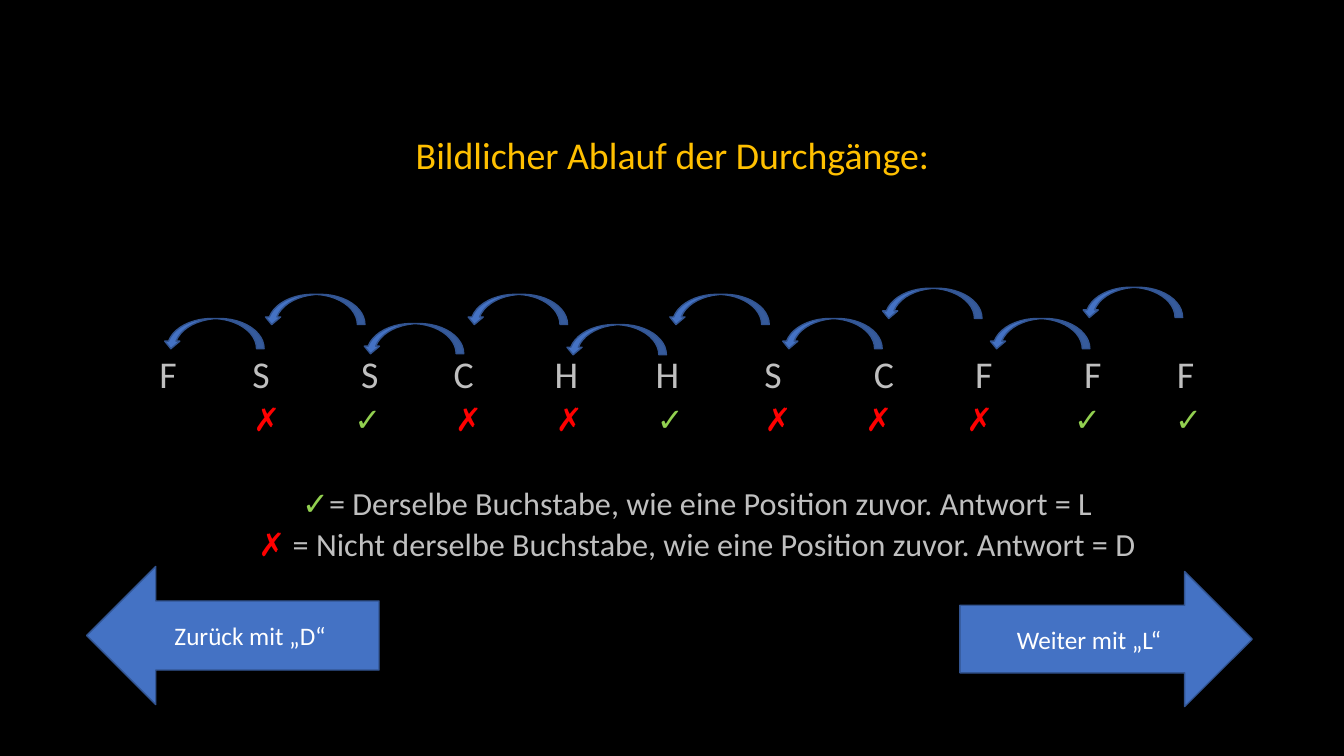
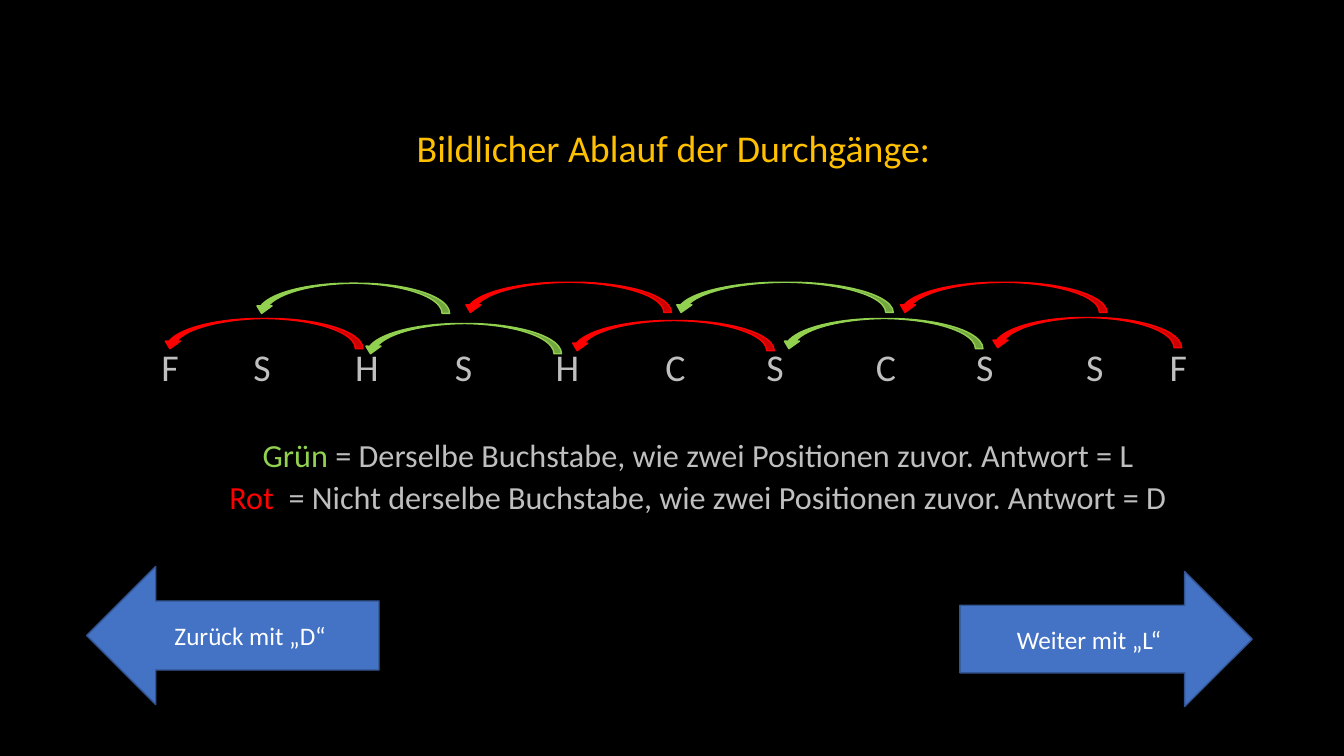
from itertools import groupby

from lxml import etree
from pptx import Presentation
from pptx.dml.color import RGBColor
from pptx.enum import shapes, text
from pptx.oxml import ns
from pptx.util import Inches, Pt

BLACK = RGBColor(0x00, 0x00, 0x00)
WHITE = RGBColor(0xFF, 0xFF, 0xFF)
GREY = RGBColor(0xBF, 0xBF, 0xBF)
GOLD = RGBColor(0xFF, 0xC0, 0x00)
GREEN = RGBColor(0x92, 0xD0, 0x50)
RED = RGBColor(0xFF, 0x00, 0x00)
BLUE = RGBColor(0x44, 0x72, 0xC4)
NAVY = RGBColor(0x32, 0x54, 0x91)
KIND = shapes.MSO_SHAPE
ALIGN = text.PP_ALIGN


class Deck:
    font = "Calibri"
    big, mid, small = 27, 23, 18
    inset = 0.1

    def __init__(self):
        self.prs = Presentation()
        self.prs.slide_width = Inches(13.33)
        self.prs.slide_height = Inches(7.5)
        self.slide = self.frame = self.left = None

    def page(self, title, left, top):
        """Start a black slide with its text body and both buttons."""
        self.slide = self.prs.slides.add_slide(self.prs.slide_layouts[6])
        fill = self.slide.background.fill
        fill.solid()
        fill.fore_color.rgb = BLACK
        box = self.slide.shapes.add_textbox(
            Inches(left), Inches(top), Inches(11.5), Inches(5.45))
        self.frame, self.left = box.text_frame, left
        self.frame.word_wrap = True
        self.line(self.frame.paragraphs[0], [(title, GOLD)], self.big, 0)
        self.button(KIND.LEFT_ARROW, 0.86, 5.62, 1.37, "Zurück mit „D“")
        self.button(KIND.RIGHT_ARROW, 9.52, 5.67, 1.34, "Weiter mit „L“")

    def style(self, run, size, color):
        run.font.name = self.font
        run.font.size = Pt(size)
        run.font.color.rgb = color

    def line(self, para, parts, size, gap, align=ALIGN.CENTER):
        """Fill a paragraph with (wording, colour) parts."""
        para.alignment = align
        para.line_spacing = 0.9
        para.space_before = Pt(gap)
        for words, color in parts:
            run = para.add_run()
            run.text = words
            self.style(run, size, color)

    def row(self, spots, signs, size, gap):
        """Centre one (sign, colour) on each x by a tab stop."""
        parts = [("".join("\t" + sign for sign, _ in group), color)
                 for color, group in groupby(signs, lambda pair: pair[1])]
        para = self.frame.add_paragraph()
        self.line(para, parts, size, gap, ALIGN.LEFT)
        tabs = etree.SubElement(para._p.get_or_add_pPr(), ns.qn("a:tabLst"))
        for x in spots:
            place = Inches(x - self.left - self.inset)
            etree.SubElement(tabs, ns.qn("a:tab"), pos=str(place), algn="ctr")

    def legend(self, parts, gap):
        para = self.frame.add_paragraph()
        self.line(para, parts, self.mid, gap)
        para._p.get_or_add_pPr().set("marL", str(Inches(0.5)))

    def shape(self, kind, left, top, width, height, fill, line):
        item = self.slide.shapes.add_shape(
            kind, Inches(left), Inches(top), Inches(width), Inches(height))
        item.shadow.inherit = False
        item.fill.solid()
        item.fill.fore_color.rgb = fill
        item.line.color.rgb = line
        item.line.width = Pt(1)
        return item

    def button(self, kind, left, top, height, words):
        item = self.shape(kind, left, top, 2.9, height, BLUE, NAVY)
        frame = item.text_frame
        frame.text = words
        frame.vertical_anchor = text.MSO_ANCHOR.MIDDLE
        para = frame.paragraphs[0]
        para.alignment = ALIGN.CENTER
        self.style(para.runs[0], self.small, WHITE)

    def arc(self, left, top, width, fill, line):
        """Curved arrow that points back to the left."""
        item = self.shape(KIND.CURVED_DOWN_ARROW, left, top, width, 0.3,
                          fill, line)
        item._element.spPr.get_or_add_xfrm().set("flipH", "1")


def hits(letters, back):
    """Tell for each letter whether it equals the one `back` places before."""
    return [old == new for old, new in zip(letters, letters[back:])]


def one_back(deck):
    letters = "FSSCHHSCFFF"
    spots = [1.67, 2.59, 3.67, 4.6, 5.62, 6.62, 7.67, 8.77, 9.76, 10.84, 11.76]
    ticks = [2.65, 3.65, 4.65, 5.65, 6.65, 7.72, 8.72, 9.72, 10.79, 11.79]
    arcs = [(1.62, 3.16), (2.62, 2.92), (3.6, 3.21), (4.63, 2.92),
            (5.61, 3.22), (6.63, 2.92), (7.75, 3.16), (8.74, 2.86),
            (9.81, 3.16), (10.73, 2.85)]
    yes, no = ("✓", GREEN), ("✗", RED)

    deck.page("Bildlicher Ablauf der Durchgänge:", 0.92, 1.31)
    # Letters and their marks
    deck.row(spots, [(c, GREY) for c in letters], deck.big, 127)
    deck.row(ticks, [yes if hit else no for hit in hits(letters, 1)],
             deck.mid, 5)
    # Legend
    deck.legend([yes, ("= Derselbe Buchstabe, wie eine Position zuvor. "
                       "Antwort = L", GREY)], 35)
    deck.legend([no, (" = Nicht derselbe Buchstabe, wie eine Position zuvor. "
                      "Antwort = D", GREY)], 5)
    # Steps back
    for left, top in arcs:
        deck.arc(left, top, 1, BLUE, NAVY)


def two_back(deck):
    letters = "FSHSHCSCSSF"
    spots = [1.69, 2.6, 3.64, 4.6, 5.63, 6.7, 7.69, 8.79, 9.77, 10.86, 11.69]
    arcs = [(1.61, 3.16, 1.99), (2.52, 2.81, 1.94), (3.6, 3.21, 1.97),
            (4.59, 2.8, 2.07), (5.65, 3.18, 2.03), (6.68, 2.8, 2.18),
            (7.75, 3.16, 2), (8.9, 2.8, 2.08), (9.82, 3.15, 1.9)]

    deck.page("Bildlicher Ablauf der Durchgänge:", 0.93, 1.24)
    # Letters
    deck.row(spots, [(c, GREY) for c in letters], deck.big, 127)
    # Legend
    deck.legend([("Grün ", GREEN),
                 ("= Derselbe Buchstabe, wie zwei Positionen zuvor. "
                  "Antwort = L", GREY)], 36)
    deck.legend([("Rot ", RED),
                 (" = Nicht derselbe Buchstabe, wie zwei Positionen zuvor. "
                  "Antwort = D", GREY)], 5)
    # Steps back, coloured by match
    for (left, top, width), hit in zip(arcs, hits(letters, 2)):
        color = GREEN if hit else RED
        deck.arc(left, top, width, color, color)


def main():
    deck = Deck()
    one_back(deck)
    two_back(deck)
    deck.prs.save("out.pptx")


if __name__ == "__main__":
    main()
